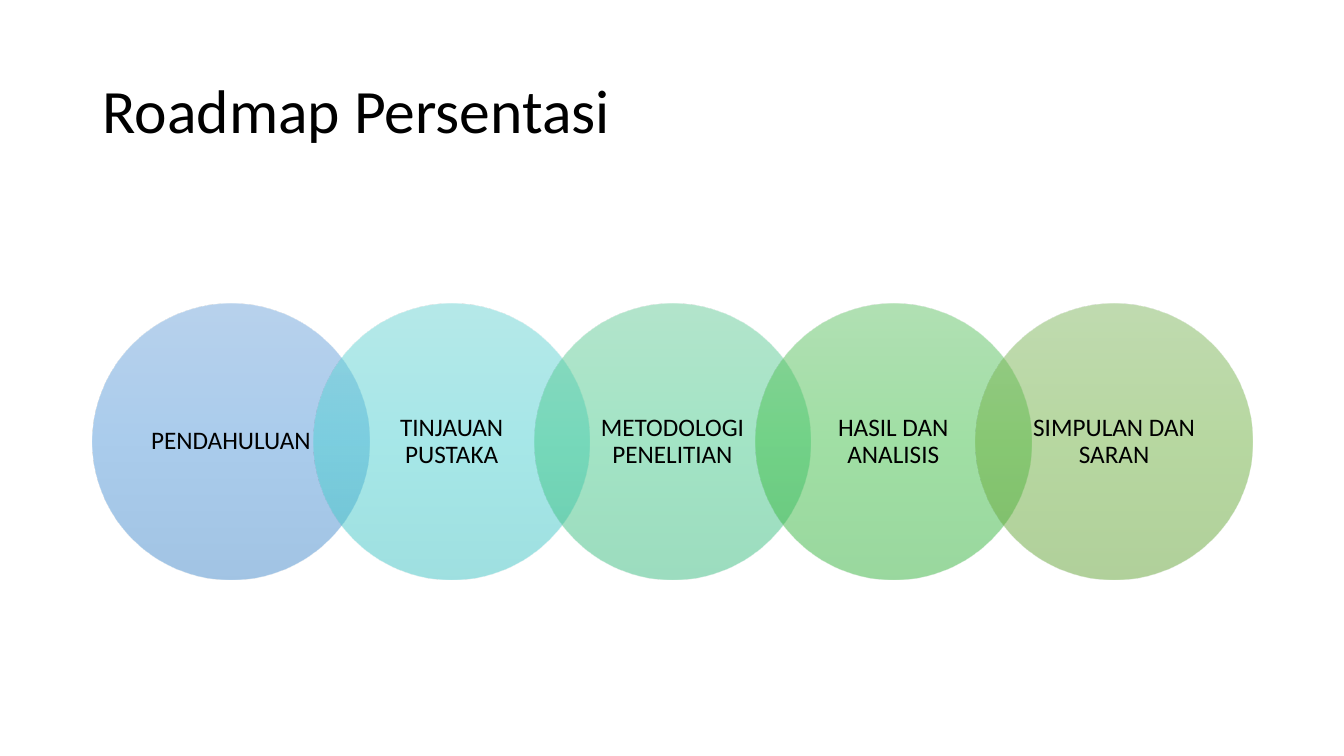
import pptx
import pptx.dml.color
import pptx.enum.shapes
import pptx.enum.text
import pptx.oxml
import pptx.oxml.ns
import pptx.util
from pptx.util import Inches


def color(value):
    return pptx.dml.color.RGBColor.from_string(value)


class RoadmapSlide:
    font_name = "Calibri"
    ink = "000000"
    line_spacing = 0.9
    opacity = 50

    def __init__(self, deck):
        self.slide = deck.slides.add_slide(deck.slide_layouts[6])

    def text(self, wording, left, top, width, height, size, align, margins):
        box = self.slide.shapes.add_textbox(
            Inches(left), Inches(top), Inches(width), Inches(height))
        frame = box.text_frame
        paragraph = frame.paragraphs[0]
        run = paragraph.add_run()
        run.text = wording
        run.font.color.rgb = color(self.ink)
        side, edge = (Inches(margin) for margin in margins)
        formats = (
            (frame, {"word_wrap": True,
                     "vertical_anchor": pptx.enum.text.MSO_ANCHOR.MIDDLE,
                     "margin_left": side, "margin_right": side,
                     "margin_top": edge, "margin_bottom": edge}),
            (paragraph, {"alignment": align, "line_spacing": self.line_spacing}),
            (run.font, {"name": self.font_name, "size": pptx.util.Pt(size)}),
        )
        for target, values in formats:
            for attribute, value in values.items():
                setattr(target, attribute, value)

    def circle(self, left, top, diameter, shades):
        disc = self.slide.shapes.add_shape(
            pptx.enum.shapes.MSO_SHAPE.OVAL,
            Inches(left), Inches(top), Inches(diameter), Inches(diameter))
        disc.shadow.inherit = False
        disc.line.fill.background()
        disc.fill.gradient()
        disc.fill.gradient_angle = 270
        stops = disc.element.spPr.find(".//" + pptx.oxml.ns.qn("a:gsLst"))
        for stop in list(stops):
            stops.remove(stop)
        for index, shade in enumerate(shades):
            stops.append(pptx.oxml.parse_xml(
                f'<a:gs {pptx.oxml.ns.nsdecls("a")} pos="{index * 50000}">'
                f'<a:srgbClr val="{color(shade)}">'
                f'<a:alpha val="{self.opacity * 1000}"/></a:srgbClr></a:gs>'))


def main():
    deck = pptx.Presentation()
    deck.slide_width, deck.slide_height = Inches(13.33), Inches(7.5)
    roadmap = RoadmapSlide(deck)
    alignment = pptx.enum.text.PP_ALIGN
    roadmap.text("Roadmap Persentasi", 0.92, 0.4, 11.5, 1.45, 44,
                 alignment.LEFT, (0.1, 0.05))

    stages = (
        ("PENDAHULUAN", ("71A6DB", "559BDB", "448ACA")),
        ("TINJAUAN PUSTAKA", ("6CD3D3", "4ED2D3", "3EC2C3")),
        ("METODOLOGI PENELITIAN", ("67CC9A", "47CB8E", "39BB7F")),
        ("HASIL DAN ANALISIS", ("63C368", "42C14A", "34B23D")),
        ("SIMPULAN DAN SARAN", ("81B861", "6FB242", "62A336")),
    )
    first_left, top, diameter, pitch, inset = 0.92, 3.01, 2.74, 2.19, 0.4
    label_size = diameter - 2 * inset
    for index, (stage, shades) in enumerate(stages):
        left = first_left + index * pitch
        roadmap.circle(left, top, diameter, shades)
        roadmap.text(stage, left + inset, top + inset, label_size, label_size,
                     18, alignment.CENTER, (0.15, 0.03))

    deck.save("out.pptx")


if __name__ == "__main__":
    main()
